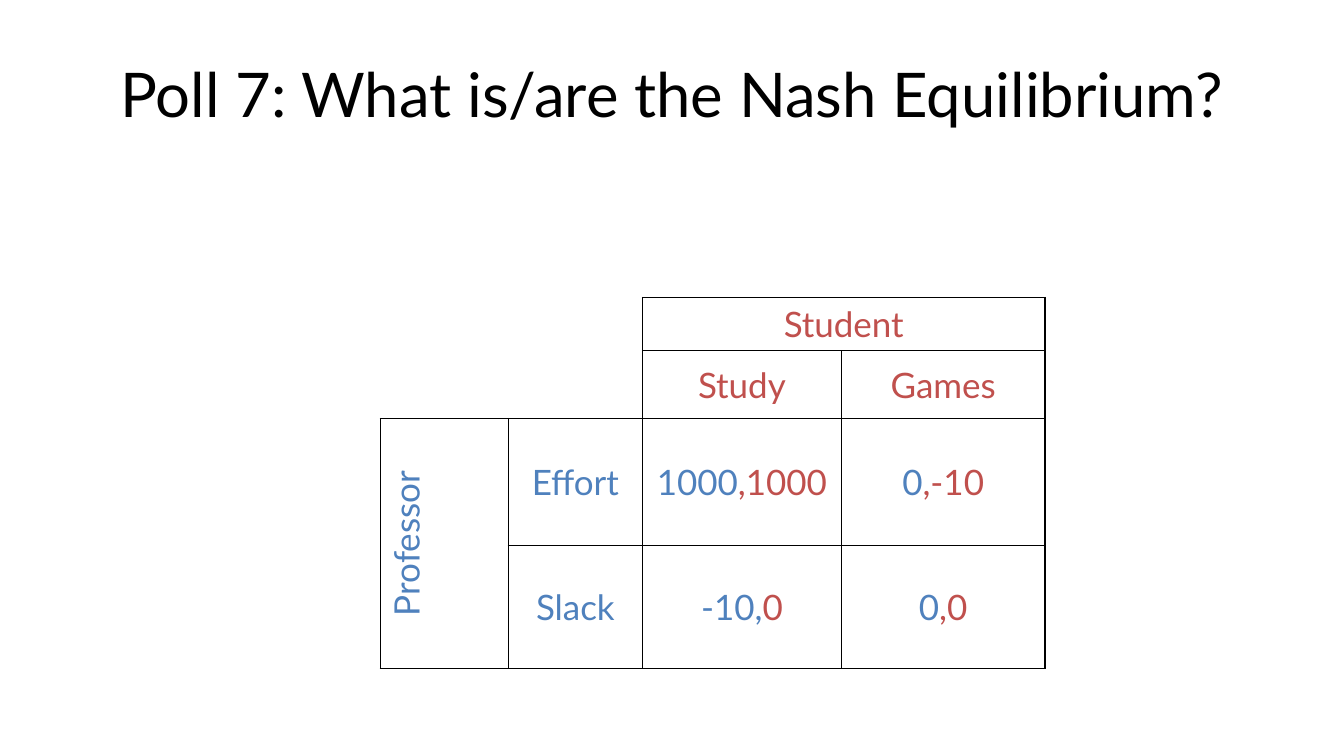
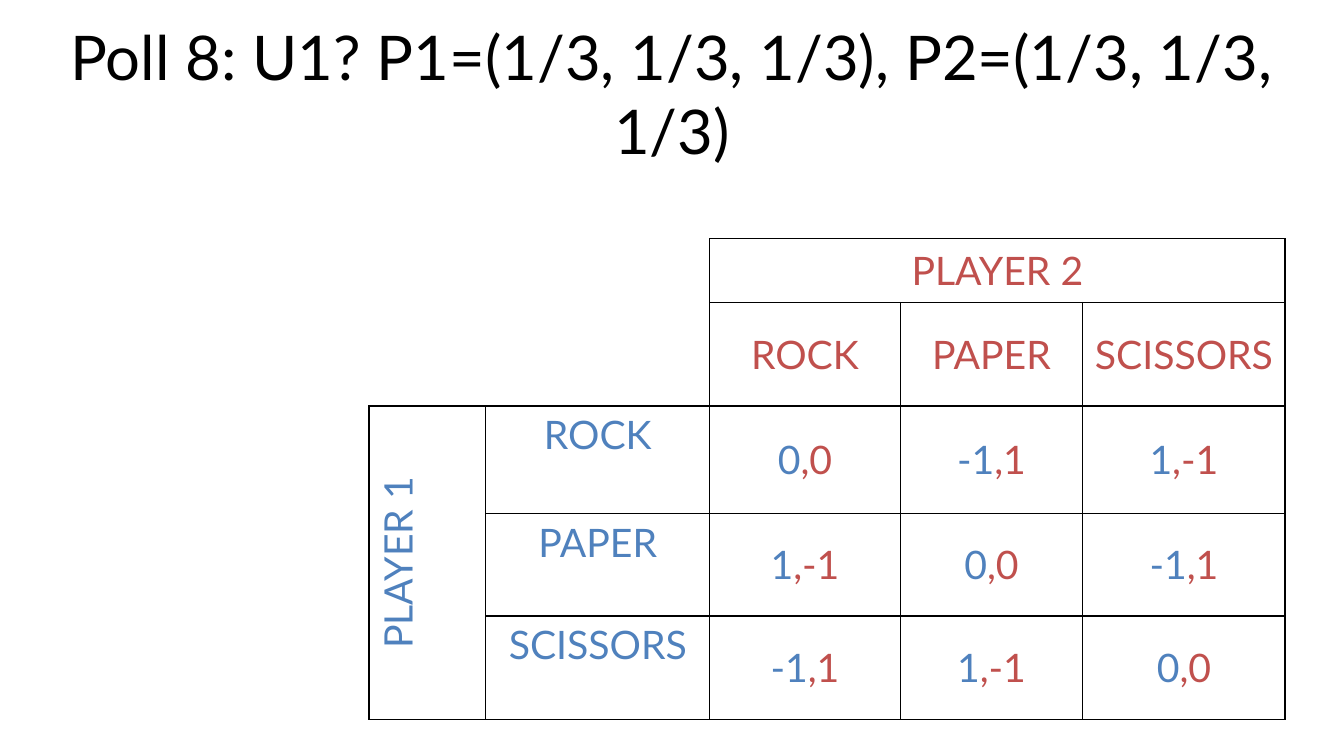
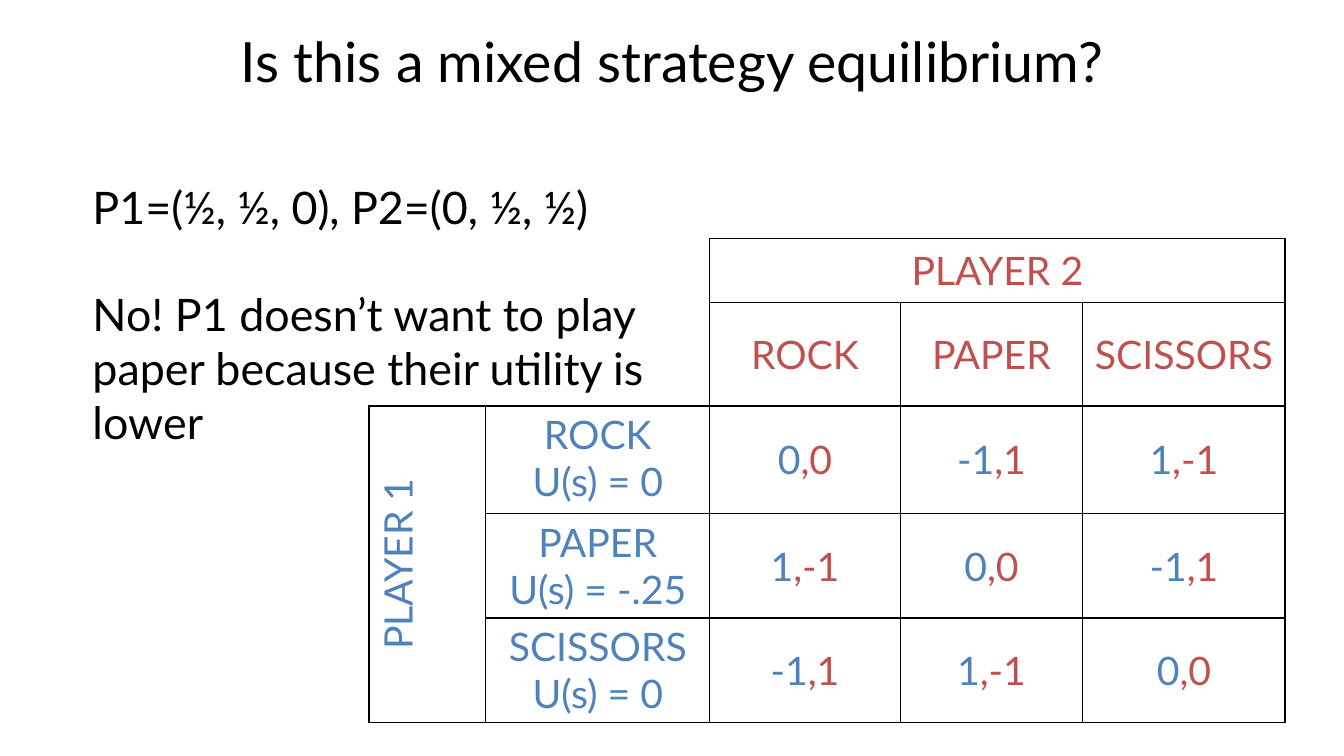
from dataclasses import dataclass
from typing import NamedTuple, Optional

from lxml.etree import SubElement
from pptx import Presentation
from pptx.dml.color import RGBColor
from pptx.enum.text import MSO_ANCHOR as Anchor, MSO_AUTO_SIZE as AutoSize, PP_ALIGN as Align
from pptx.oxml.ns import qn
from pptx.util import Pt


# Theme shared by all slides
@dataclass(frozen=True)
class Theme:
    font: str = "Lato"
    ink: RGBColor = RGBColor(0x00, 0x00, 0x00)
    row_player: RGBColor = RGBColor(0x4F, 0x81, 0xBD)
    column_player: RGBColor = RGBColor(0xC0, 0x50, 0x4D)
    title_size: float = 44
    small_title_size: float = 39.6
    body_size: float = 32
    border: float = 1


THEME = Theme()
TITLE_ONLY = 5
HEADER_ROWS = HEADER_COLS = 2


class Box(NamedTuple):
    left: float
    top: float
    width: float
    height: float


class Payoff(NamedTuple):
    row: str
    column: str


@dataclass(frozen=True)
class Game:
    row_player: str
    column_player: str
    row_moves: list[list[str]]
    column_moves: list[str]
    payoffs: list[list[Payoff]]
    left: float
    top: float
    widths: list[float]
    heights: list[float]
    size: float
    move_anchor: Optional[Anchor] = None


# Text helpers
def add_span(para, text: str, size: float, color: RGBColor = THEME.ink) -> None:
    span = para.add_run()
    span.text = text
    span.font.name = THEME.font
    span.font.size = Pt(size)
    span.font.color.rgb = color


def add_titled_page(deck, text: str, box: Box, size: float = THEME.title_size,
                    anchor: Anchor = Anchor.MIDDLE):
    page = deck.slides.add_slide(deck.slide_layouts[TITLE_ONLY])
    title = page.shapes.title
    title.left, title.top, title.width, title.height = map(Pt, box)
    frame = title.text_frame
    frame.auto_size = AutoSize.NONE
    frame.word_wrap = True
    frame.vertical_anchor = anchor
    if anchor == Anchor.TOP:
        frame.margin_top = Pt(0)
    para = frame.paragraphs[0]
    para.alignment = Align.CENTER
    add_span(para, text, size)
    return page


def add_body(page, lines: list[str], box: Box, gap: float) -> None:
    frame = page.shapes.add_textbox(*map(Pt, box)).text_frame
    frame.word_wrap = True
    for index, line in enumerate(lines):
        para = frame.add_paragraph() if index else frame.paragraphs[0]
        if index:
            para.space_before = Pt(gap)
        add_span(para, line, THEME.body_size)


# Payoff table
def set_borders(cell, sides: str) -> None:
    """Rule the given sides of a cell and clear the others."""
    props = cell._tc.get_or_add_tcPr()
    for side in "LRTB":
        line = SubElement(props, qn(f"a:ln{side}"), w=str(Pt(THEME.border)))
        if side in sides:
            fill = SubElement(line, qn("a:solidFill"))
            SubElement(fill, qn("a:srgbClr"), val=str(THEME.ink))
        else:
            SubElement(line, qn("a:noFill"))


def write_cell(cell, lines: list[list[tuple[str, RGBColor]]], size: float,
               anchor: Optional[Anchor] = Anchor.MIDDLE) -> None:
    cell.vertical_anchor = anchor
    for index, spans in enumerate(lines):
        frame = cell.text_frame
        para = frame.add_paragraph() if index else frame.paragraphs[0]
        para.alignment = Align.CENTER
        for text, color in spans:
            add_span(para, text, size, color)


def add_game(page, game: Game) -> None:
    blue, red = THEME.row_player, THEME.column_player
    rows, cols = len(game.heights), len(game.widths)
    frame = page.shapes.add_table(rows, cols, Pt(game.left), Pt(game.top),
                                  Pt(sum(game.widths)), Pt(sum(game.heights)))
    table = frame.table
    table.first_row = table.horz_banding = False
    for column, width in zip(table.columns, game.widths):
        column.width = Pt(width)
    for row, height in zip(table.rows, game.heights):
        row.height = Pt(height)

    # Borders everywhere but round the empty corner
    for r in range(rows):
        for c in range(cols):
            cell = table.cell(r, c)
            corner = r < HEADER_ROWS and c < HEADER_COLS
            inner_edges = "R" * (c == HEADER_COLS - 1) + "B" * (r == HEADER_ROWS - 1)
            set_borders(cell, inner_edges if corner else "LRTB")
            cell.fill.background()

    # Merged corner and player names
    table.cell(0, 0).merge(table.cell(HEADER_ROWS - 1, HEADER_COLS - 1))
    column_name = table.cell(0, HEADER_COLS)
    column_name.merge(table.cell(0, cols - 1))
    write_cell(column_name, [[(game.column_player, red)]], game.size)
    row_name = table.cell(HEADER_ROWS, 0)
    row_name.merge(table.cell(rows - 1, 0))
    write_cell(row_name, [[(game.row_player, blue)]], game.size)
    row_name._tc.get_or_add_tcPr().set("vert", "vert270")

    # Moves and payoffs
    for c, move in enumerate(game.column_moves, HEADER_COLS):
        write_cell(table.cell(1, c), [[(move, red)]], game.size)
    for r, (labels, payoffs) in enumerate(zip(game.row_moves, game.payoffs), HEADER_ROWS):
        write_cell(table.cell(r, 1), [[(label, blue)] for label in labels],
                   game.size, game.move_anchor)
        for c, payoff in enumerate(payoffs, HEADER_COLS):
            write_cell(table.cell(r, c), [[(payoff.row, blue), (payoff.column, red)]],
                       game.size)


# Games
def study_game() -> Game:
    return Game(
        "Professor", "Student", [["Effort"], ["Slack"]], ["Study", "Games"],
        [[Payoff("1000", ",1000"), Payoff("0", ",-10")],
         [Payoff("-10,", "0"), Payoff("0", ",0")]],
        left=271.5, top=212.5, widths=[91.5, 96, 142, 145.5],
        heights=[38, 48.5, 90.5, 88], size=25, move_anchor=Anchor.MIDDLE)


def rock_paper_scissors(utilities: Optional[list[str]] = None) -> Game:
    moves = ["ROCK", "PAPER", "SCISSORS"]
    tie, loss, win = Payoff("0", ",0"), Payoff("-1", ",1"), Payoff("1", ",-1")
    outcomes = [tie, loss, win]
    labels = [[move] for move in moves]
    if utilities:
        labels = [[move, f"U(s) = {value}"] for move, value in zip(moves, utilities)]
    return Game(
        "PLAYER 1", "PLAYER 2", labels, moves,
        [[outcomes[(c - r) % 3] for c in range(3)] for r in range(3)],
        left=263.5, top=170.5, widths=[83.5, 160, 136, 130.5, 144.5],
        heights=[45.5, 74, 77, 73, 74], size=28)


def main() -> None:
    deck = Presentation()
    deck.slide_width, deck.slide_height = Pt(960), Pt(540)

    # Poll 7
    page = add_titled_page(deck, "Poll 7: What is/are the Nash Equilibrium?",
                           Box(48, 21.6, 864, 90))
    add_game(page, study_game())

    # Poll 8
    page = add_titled_page(deck, "Poll 8: U1? P1=(1/3, 1/3, 1/3), P2=(1/3, 1/3, 1/3)",
                           Box(0, 21.6, 960, 90))
    add_game(page, rock_paper_scissors())

    # Mixed strategy question
    page = add_titled_page(deck, "Is this a mixed strategy equilibrium?",
                           Box(0, 19, 960, 90), THEME.small_title_size, Anchor.TOP)
    add_body(page, ["P1=(½, ½, 0), P2=(0, ½, ½)",
                    "No! P1 doesn’t want to play paper because their utility is lower"],
             Box(59, 124.5, 445.5, 201), gap=38.4)
    add_game(page, rock_paper_scissors(["0", "-.25", "0"]))

    deck.save("out.pptx")


if __name__ == "__main__":
    main()
